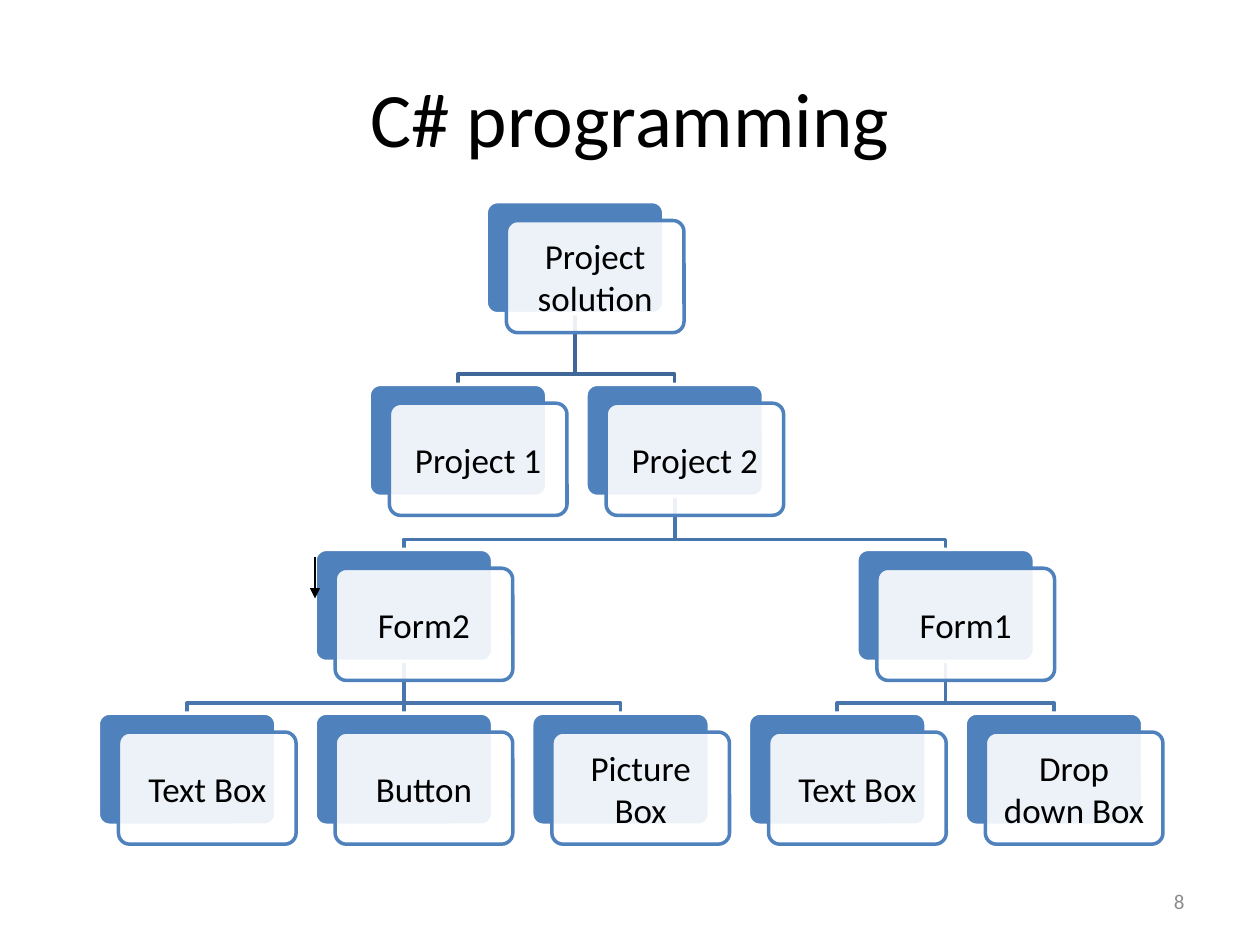
from dataclasses import dataclass

from lxml import etree
from pptx import Presentation
from pptx.dml.color import RGBColor
from pptx.enum.shapes import MSO_CONNECTOR, MSO_SHAPE
from pptx.enum.text import MSO_ANCHOR, PP_ALIGN
from pptx.oxml.ns import qn
from pptx.util import Inches, Pt


@dataclass(frozen=True)
class Theme:
    font: str = "Calibri"
    text: str = "000000"
    muted: str = "8C8C8C"
    accent: str = "4F81BD"
    card: str = "FFFFFF"
    card_alpha: int = 90
    root_branch: str = "3F6797"
    branch: str = "4875AC"
    title_size: int = 44
    card_size: int = 20
    number_size: int = 12
    line: float = 2
    thin_line: float = 0.75


THEME = Theme()

# Tree geometry in inches; columns count from the first leaf
CARD_WIDTH, CARD_HEIGHT = 1.41, 0.89
COLUMN_PITCH = 1.72
LEVEL_OFFSETS = [0, 1.45, 2.76, 4.06]
FRONT_OFFSET = (0.16, 0.15)
ELBOW_GAP = 0.08

# name: (label, level, column, parent)
NODES = {
    "solution": ("Project solution", 0, 1.79, None),
    "project1": ("Project 1", 1, 1.25, "solution"),
    "project2": ("Project 2", 1, 2.25, "solution"),
    "form2": ("Form2", 2, 1, "project2"),
    "text2": ("Text Box", 3, 0, "form2"),
    "button": ("Button", 3, 1, "form2"),
    "picture": ("Picture Box", 3, 2, "form2"),
    "form1": ("Form1", 2, 3.5, "project2"),
    "text1": ("Text Box", 3, 3, "form1"),
    "dropdown": ("Drop down Box", 3, 4, "form1"),
}


def rgb(value):
    return RGBColor.from_string(value)


def set_line(shape, color, width):
    shape.line.color.rgb = rgb(color)
    shape.line.width = Pt(width)


def write_text(shape, text, size, color, align, inset=None):
    frame = shape.text_frame
    frame.text = text
    formats = {"word_wrap": True, "vertical_anchor": MSO_ANCHOR.MIDDLE}
    if inset is not None:
        for side in ("left", "top", "right", "bottom"):
            formats[f"margin_{side}"] = Inches(inset)
    for name, value in formats.items():
        setattr(frame, name, value)
    paragraph = frame.paragraphs[0]
    paragraph.alignment = align
    font = paragraph.runs[0].font
    for name, value in {"name": THEME.font, "size": Pt(size)}.items():
        setattr(font, name, value)
    font.color.rgb = rgb(color)


def add_line(shapes, start, end, color, width):
    line = shapes.add_connector(
        MSO_CONNECTOR.STRAIGHT, *(Inches(value) for value in (*start, *end)))
    set_line(line, color, width)
    etree.SubElement(line._element.spPr, qn("a:effectLst"))
    return line


def add_title(slide, box):
    title = slide.shapes.title
    for name, value in zip(("left", "top", "width", "height"), box):
        setattr(title, name, Inches(value))
    write_text(title, "C# programming", THEME.title_size, THEME.text,
               PP_ALIGN.CENTER)


def add_plate(shapes, left, top, fill, line):
    plate = shapes.add_shape(
        MSO_SHAPE.ROUNDED_RECTANGLE, Inches(left), Inches(top),
        Inches(CARD_WIDTH), Inches(CARD_HEIGHT))
    plate.adjustments[0] = 0.1
    plate.shadow.inherit = False
    plate.fill.solid()
    plate.fill.fore_color.rgb = rgb(fill)
    set_line(plate, line, THEME.line)
    return plate


def add_card(shapes, left, top, label):
    """Places a card in front of its accent plate and returns the plate."""
    back = add_plate(shapes, left, top, THEME.accent, THEME.card)
    front = add_plate(shapes, left + FRONT_OFFSET[0], top + FRONT_OFFSET[1],
                      THEME.card, THEME.accent)
    color = front._element.spPr.find(qn("a:solidFill"))[0]
    etree.SubElement(color, qn("a:alpha"), val=str(THEME.card_alpha * 1000))
    write_text(front, label, THEME.card_size, THEME.text, PP_ALIGN.CENTER,
               inset=0.08)
    return back


def add_branch(shapes, parent, child, color):
    start_x, end_x = (plate.left + plate.width // 2 for plate in (parent, child))
    start_y, end_y = parent.top + parent.height, child.top
    if start_x == end_x:
        branch = add_line(shapes, (0, 0), (0, 0), color, THEME.line)
        branch.begin_connect(parent, 2)
        branch.end_connect(child, 0)
        return branch
    elbow_y = end_y - Inches(ELBOW_GAP)
    builder = shapes.build_freeform(start_x, start_y)
    builder.add_line_segments(
        [(start_x, elbow_y), (end_x, elbow_y), (end_x, end_y)], close=False)
    branch = builder.convert_to_shape()
    branch.fill.background()
    branch.shadow.inherit = False
    set_line(branch, color, THEME.line)
    return branch


def add_tree(slide, left, top):
    group = slide.shapes.add_group_shape()
    plates = {
        name: add_card(group.shapes, left + column * COLUMN_PITCH,
                       top + LEVEL_OFFSETS[level], label)
        for name, (label, level, column, _) in NODES.items()
    }
    for name, (_, level, _, parent) in NODES.items():
        if parent:
            color = THEME.root_branch if level == 1 else THEME.branch
            branch = add_branch(group.shapes, plates[parent], plates[name], color)
            # Branches lie behind every card, after the two group headers
            group._element.insert(2, branch._element)


def add_page_number(slide, box):
    number = slide.shapes.add_textbox(*(Inches(value) for value in box))
    write_text(number, "8", THEME.number_size, THEME.muted, PP_ALIGN.RIGHT)


def add_marker_arrow(slide, start, end):
    arrow = add_line(slide.shapes, start, end, THEME.text, THEME.thin_line)
    etree.SubElement(arrow.line._get_or_add_ln(), qn("a:tailEnd"),
                     type="triangle")


def main():
    presentation = Presentation()
    presentation.slide_width = Inches(10)
    presentation.slide_height = Inches(7.5)
    slide = presentation.slides.add_slide(presentation.slide_layouts[5])

    add_title(slide, (0.5, 0.3, 9, 1.25))
    add_tree(slide, left=0.78, top=1.6)
    add_page_number(slide, (7.17, 6.95, 2.33, 0.4))
    add_marker_arrow(slide, (2.5, 4.42), (2.5, 4.75))

    presentation.save("out.pptx")


if __name__ == "__main__":
    main()
